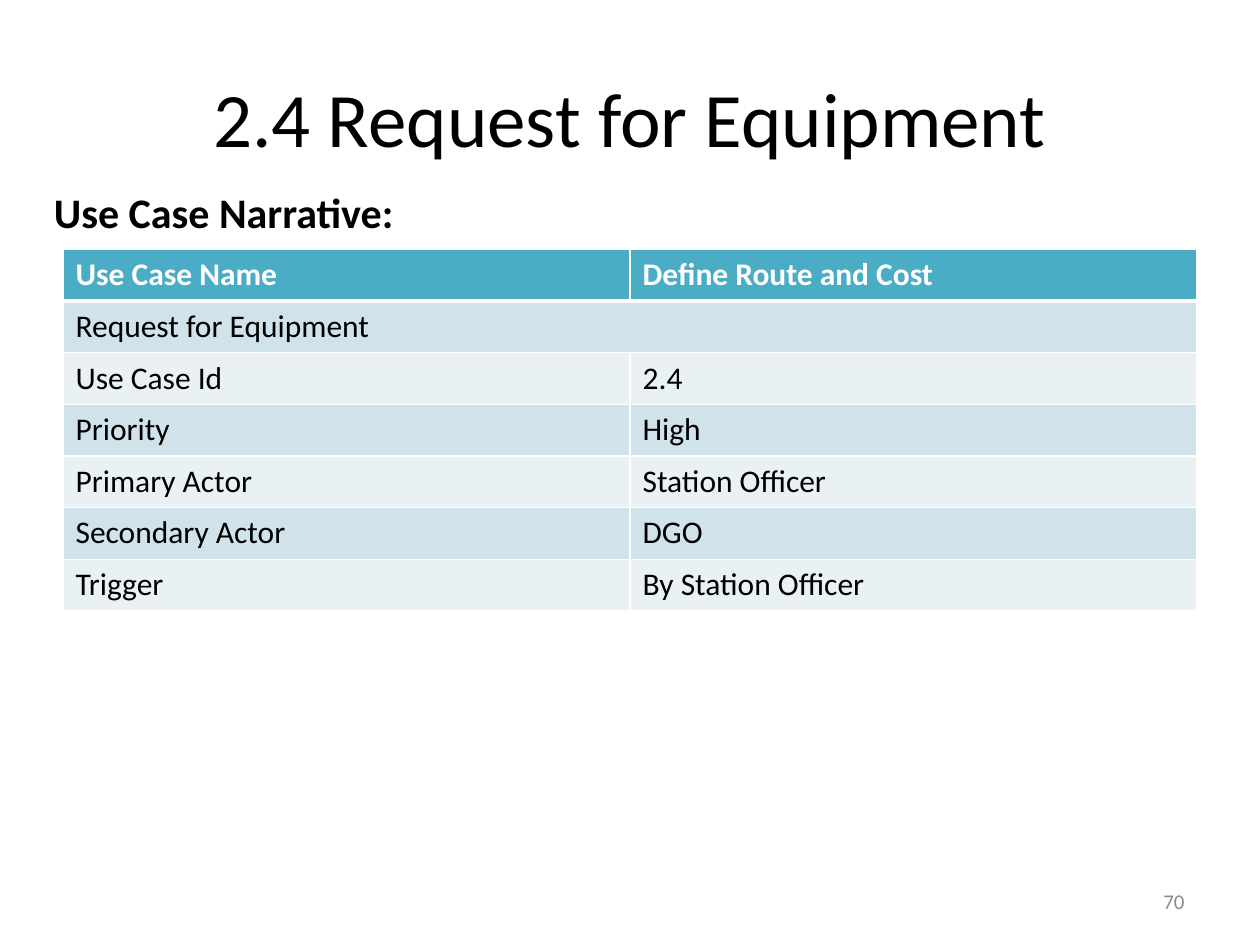
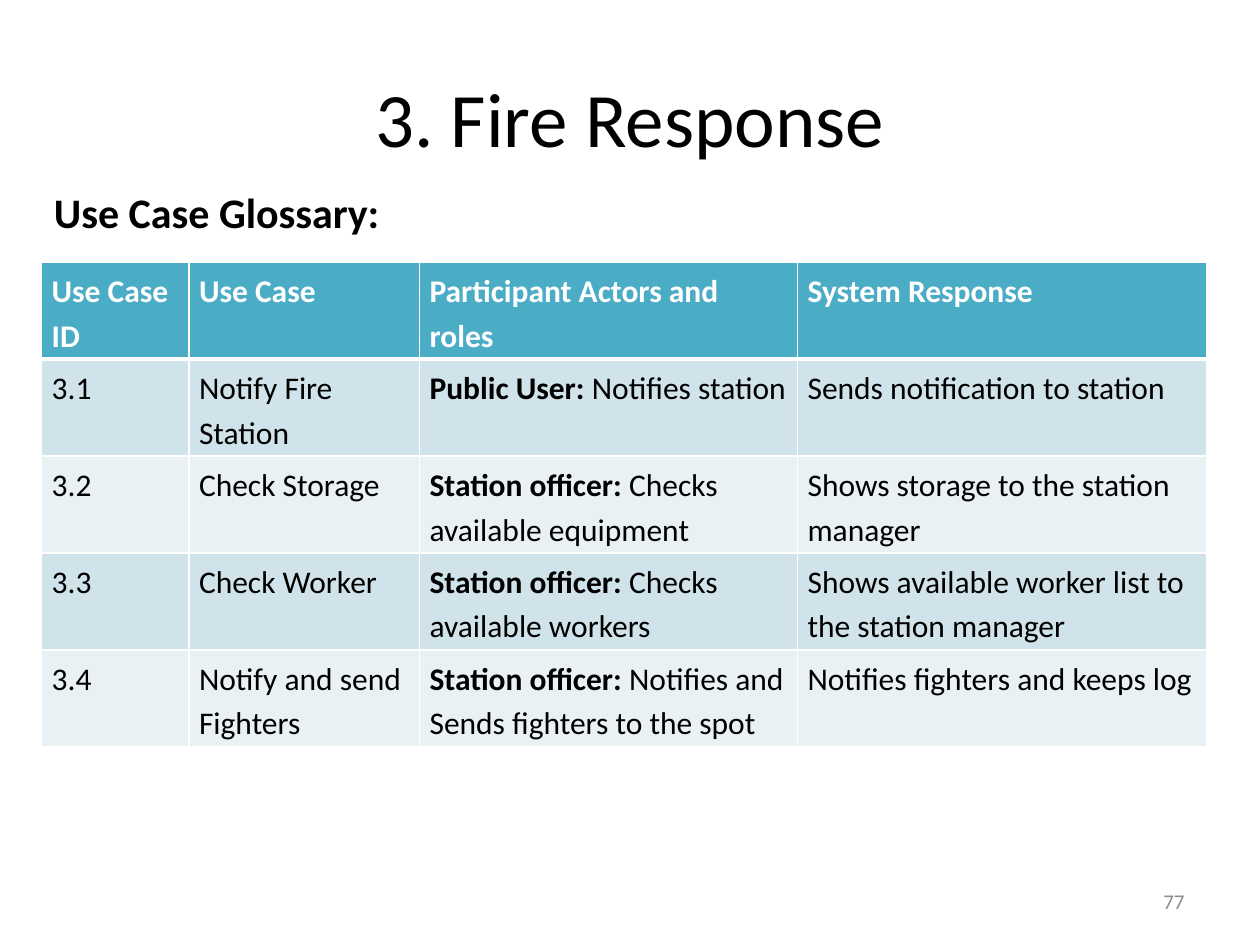
"""Build two use case slides, each with a title, a subheading and a banded table."""
from lxml.etree import SubElement
from pptx import Presentation
from pptx.dml.color import RGBColor
from pptx.enum.text import MSO_ANCHOR, PP_ALIGN
from pptx.oxml.ns import qn
from pptx.util import Inches, Pt

FONT = "Calibri"
BLACK, WHITE, GREY = "000000", "FFFFFF", "8C8C8C"
HEADER_FILL, BANDS = "4BACC6", ("D0E3EA", "E9F1F5")
WIDTH, HEIGHT = 10, 7.5
MARGIN = 0.5

PAGES = [
    {
        "title": "2.4 Request for Equipment",
        "subheading": "Use Case Narrative:",
        "number": "70",
        "place": (0.5, 1.98),
        "columns": (4.5, 4.5),
        "row_height": 0.41,
        "inset": (0.1, 0.05),
        "spacing": 1.0,
        "rows": [
            ("Use Case Name", "Define Route and Cost"),
            ("Request for Equipment",),
            ("Use Case Id", "2.4"),
            ("Priority", "High"),
            ("Primary Actor", "Station Officer"),
            ("Secondary Actor", "DGO"),
            ("Trigger", "By Station Officer"),
        ],
    },
    {
        "title": "3. Fire Response",
        "subheading": "Use Case Glossary:",
        "number": "77",
        "place": (0.33, 2.08),
        "columns": (1.17, 1.83, 3, 3.25),
        "row_height": 0.77,
        "inset": (0.08, 0.04),
        "spacing": 1.15,
        "rows": [
            ("Use Case ID", "Use Case", "Participant Actors and roles", "System Response"),
            ("3.1", "Notify Fire Station", "Public User: Notifies station",
             "Sends notification to station"),
            ("3.2", "Check Storage", "Station officer: Checks available equipment",
             "Shows storage to the station manager"),
            ("3.3", "Check Worker", "Station officer: Checks available workers",
             "Shows available worker list to the station manager"),
            ("3.4", "Notify and send Fighters",
             "Station officer: Notifies and Sends fighters to the spot",
             "Notifies fighters and keeps log"),
        ],
    },
]


def color(value):
    """Turn a hex string into a colour."""
    return RGBColor.from_string(value)


def style(font, size, ink, bold=False):
    """Set the look of a font."""
    font.name, font.size, font.bold = FONT, Pt(size), bold
    font.color.rgb = color(ink)


def add_text(page, text, place, size, ink=BLACK, bold=False,
             align=PP_ALIGN.LEFT, anchor=MSO_ANCHOR.MIDDLE):
    """Add a one-paragraph text box."""
    frame = page.shapes.add_textbox(*map(Inches, place)).text_frame
    frame.word_wrap, frame.vertical_anchor = True, anchor
    para = frame.paragraphs[0]
    para.text, para.alignment = text, align
    style(para.font, size, ink, bold)


def add_borders(cell, bottom):
    """Draw white borders around a cell."""
    properties = cell._tc.get_or_add_tcPr()
    for index, (side, points) in enumerate(zip("LRTB", (1, 1, 1, bottom))):
        line = SubElement(properties, qn(f"a:ln{side}"), w=str(Pt(points)))
        fill = SubElement(line, qn("a:solidFill"))
        SubElement(fill, qn("a:srgbClr"), val=WHITE)
        properties.insert(index, line)


def fill_cell(cell, text, is_header, inset, spacing):
    """Write a cell, with the actor before a colon in bold."""
    cell.margin_left = cell.margin_right = Inches(inset[0])
    cell.margin_top = cell.margin_bottom = Inches(inset[1])
    para = cell.text_frame.paragraphs[0]
    para.line_spacing = spacing
    actor, colon, action = text.partition(": ")
    if colon:
        lead = para.add_run()
        lead.text, lead.font.bold = actor + colon, True
        para.add_run().text = action
    else:
        para.text = text
    style(para.font, 18, WHITE if is_header else BLACK, is_header)


def add_use_case_table(page, place, columns, row_height, inset, spacing, rows):
    """Add a banded table; a row with one entry spans all columns."""
    size = sum(columns), row_height * len(rows)
    table = page.shapes.add_table(len(rows), len(columns),
                                  *map(Inches, (*place, *size))).table
    for column, width in zip(table.columns, columns):
        column.width = Inches(width)
    for index, texts in enumerate(rows):
        is_header = index == 0
        table.rows[index].height = Inches(row_height)
        cells = list(table.rows[index].cells)
        for cell in cells:
            cell.fill.solid()
            cell.fill.fore_color.rgb = color(HEADER_FILL if is_header else BANDS[(index - 1) % 2])
            add_borders(cell, bottom=3 if is_header else 1)
        if len(texts) == 1:
            cells[0].merge(cells[-1])
        for cell, text in zip(cells, texts):
            fill_cell(cell, text, is_header, inset, spacing)


def add_page(deck, title, subheading, number, **table):
    """Add one slide with its title, table, number and subheading."""
    page = deck.slides.add_slide(deck.slide_layouts[6])
    add_text(page, title, (MARGIN, 0.3, WIDTH - 2 * MARGIN, 1.25), 44, align=PP_ALIGN.CENTER)
    add_use_case_table(page, **table)
    add_text(page, number, (7.17, 6.95, 2.33, 0.4), 12, GREY, align=PP_ALIGN.RIGHT)
    add_text(page, subheading, (0.33, 1.43, 5.25, 0.5), 24, bold=True, anchor=MSO_ANCHOR.TOP)


def main():
    """Build and save the deck."""
    deck = Presentation()
    deck.slide_width, deck.slide_height = Inches(WIDTH), Inches(HEIGHT)
    for content in PAGES:
        add_page(deck, **content)
    deck.save("out.pptx")


if __name__ == "__main__":
    main()
